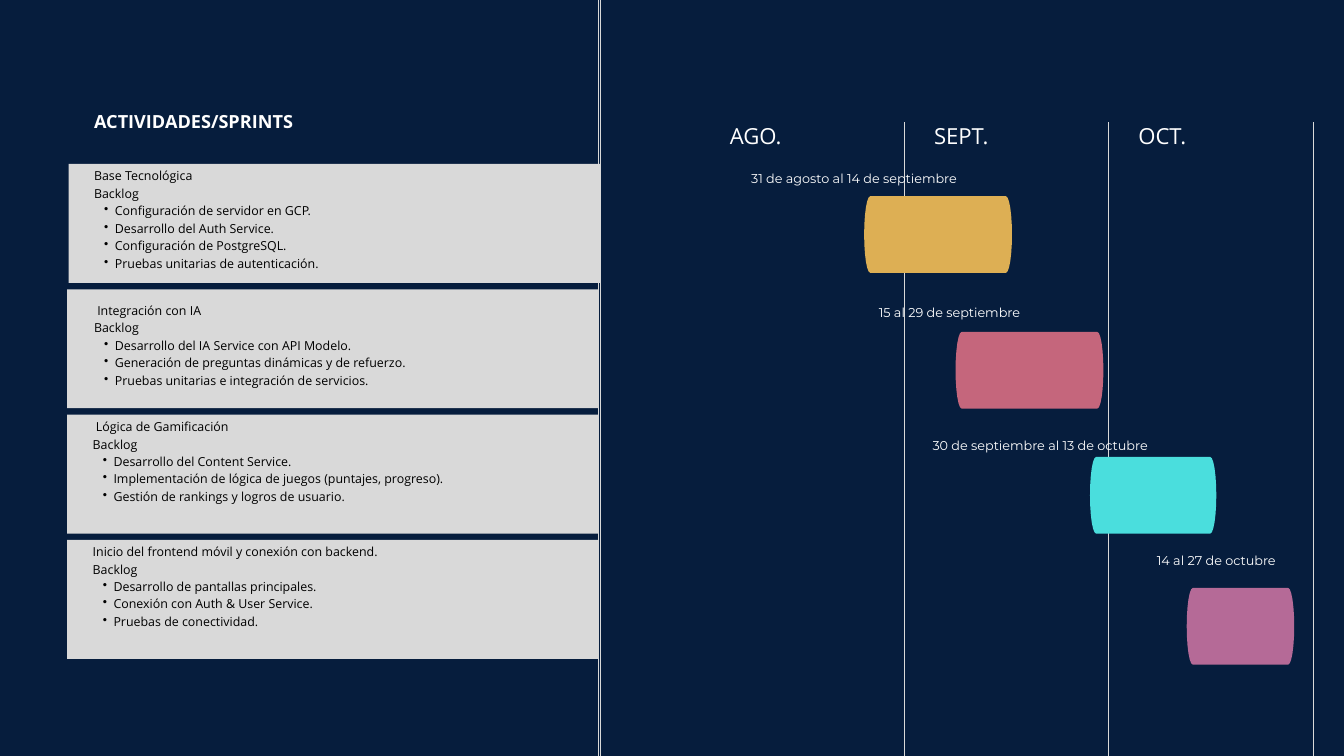
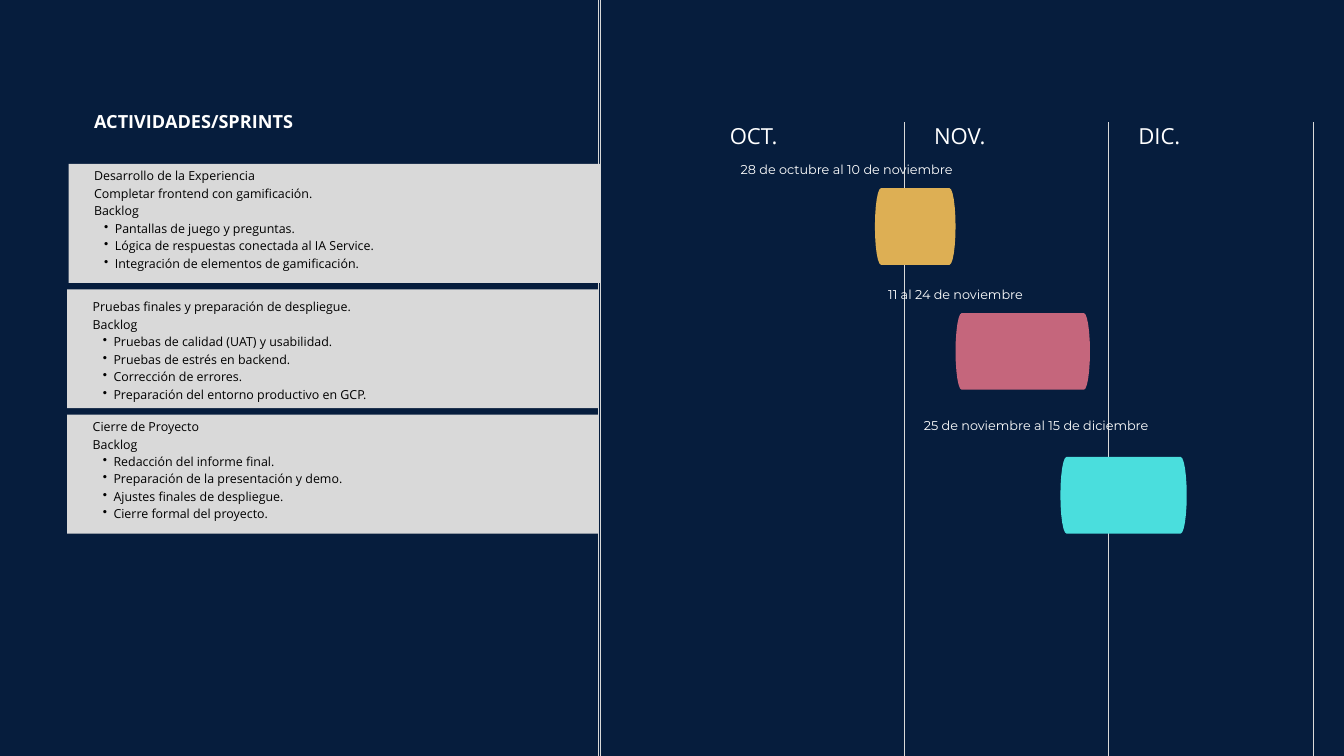
"""Builds the two slides of the sprint schedule, August to December."""
from math import cos, pi, sin

from lxml import etree
from pptx import Presentation
from pptx import util as u
from pptx.dml.color import RGBColor
from pptx.enum import shapes, text
from pptx.oxml.ns import qn

THEME = {
    "background": RGBColor.from_string("061D3D"),
    "panel": RGBColor.from_string("D9D9D9"),
    "bars": [RGBColor.from_string(c) for c in ("DDAF54", "C5667C", "4ADEDD", "B56A97")],
    "title": {"size": 19.4, "name": "Open Sans", "color": "FFFFFF", "bold": True, "leading": 22.7},
    "month": {"size": 23.7, "name": "Open Sans", "color": "FFFFFF", "bold": False, "leading": 33.1},
    "activity": {"size": 13.3, "name": "Open Sans", "color": "000000", "bold": False, "leading": 18.7},
    "dates": {"size": 13.7, "name": "Montserrat", "color": "FFFFFF", "bold": False, "leading": 13.7},
}
FRAME_FORMAT = {
    "margin_left": 0, "margin_top": 0, "margin_right": 0, "margin_bottom": 0,
    "word_wrap": True, "auto_size": text.MSO_AUTO_SIZE.NONE,
    "vertical_anchor": text.MSO_ANCHOR.TOP,
}
CARD_TOP, CARD_PITCH, CARD_HEIGHT = 2.44, 1.865, 1.77
MONTH_PITCH = 3.04
BAR_HEIGHT, BAR_CURVE = 1.14, 0.09
DATES_WIDTH = 3.6
LINE_HEIGHT = 0.26
CURVE_STEPS = 12

# Each sprint: text left and top, heading lines, bullets, dates, dates centre and top, bar left, top and width
SLIDES = [
    (["AGO.", "SEPT.", "OCT."], [
        (1.4, 2.47, ["Base Tecnológica", "Backlog"],
         ["Configuración de servidor en GCP.", "Desarrollo del Auth Service.",
          "Configuración de PostgreSQL.", "Pruebas unitarias de autenticación."],
         "31 de agosto al 14 de septiembre", 12.71, 2.58, 12.86, 2.92, 2.2),
        (1.4, 4.47, [" Integración con IA", "Backlog"],
         ["Desarrollo del IA Service con API Modelo.",
          "Generación de preguntas dinámicas y de refuerzo.",
          "Pruebas unitarias e integración de servicios."],
         "15 al 29 de septiembre", 14.13, 4.57, 14.22, 4.94, 2.2),
        (1.38, 6.2, [" Lógica de Gamificación", "Backlog"],
         ["Desarrollo del Content Service.",
          "Implementación de lógica de juegos (puntajes, progreso).",
          "Gestión de rankings y logros de usuario."],
         "30 de septiembre al 13 de octubre", 15.48, 6.55, 16.22, 6.8, 1.88),
        (1.38, 8.06, ["Inicio del frontend móvil y conexión con backend.", "Backlog"],
         ["Desarrollo de pantallas principales.", "Conexión con Auth & User Service.",
          "Pruebas de conectividad."],
         "14 al 27 de octubre", 18.1, 8.27, 17.66, 8.75, 1.6),
    ]),
    (["OCT.", "NOV.", "DIC."], [
        (1.4, 2.47, ["Desarrollo de la Experiencia", "Completar frontend con gamificación.", "Backlog"],
         ["Pantallas de juego y preguntas.", "Lógica de respuestas conectada al IA Service.",
          "Integración de elementos de gamificación."],
         "28 de octubre al 10 de noviembre", 12.6, 2.44, 13.02, 2.8, 1.2),
        (1.38, 4.42, ["Pruebas finales y preparación de despliegue.", "Backlog"],
         ["Pruebas de calidad (UAT) y usabilidad.", "Pruebas de estrés en backend.",
          "Corrección de errores.", "Preparación del entorno productivo en GCP."],
         "11 al 24 de noviembre", 14.22, 4.31, 14.22, 4.66, 2),
        (1.38, 6.2, ["Cierre de Proyecto", "Backlog"],
         ["Redacción del informe final.", "Preparación de la presentación y demo.",
          "Ajustes finales de despliegue.", "Cierre formal del proyecto."],
         "25 de noviembre al 15 de diciembre", 15.42, 6.26, 15.78, 6.8, 1.88),
    ]),
]


def write(holder, box, style, lines, bullets=(), align=text.PP_ALIGN.LEFT):
    """Place a text holder and fill it with plain lines followed by bullets."""
    holder.left, holder.top, holder.width, holder.height = map(u.Inches, box)
    frame = holder.text_frame
    for key, value in FRAME_FORMAT.items():
        setattr(frame, key, value)
    look = THEME[style]
    for index, wording in enumerate([*lines, *bullets]):
        paragraph = frame.add_paragraph() if index else frame.paragraphs[0]
        paragraph.alignment = align
        paragraph.line_spacing = u.Pt(look["leading"])
        run = paragraph.add_run()
        run.text = wording
        for key, value in {"size": u.Pt(look["size"]), "name": look["name"], "bold": look["bold"]}.items():
            setattr(run.font, key, value)
        run.font.color.rgb = RGBColor.from_string(look["color"])
        if index >= len(lines):
            paragraph.level = 1
            properties = paragraph._p.get_or_add_pPr()
            properties.set("marL", str(u.Inches(0.31)))
            properties.set("indent", str(u.Inches(-0.16)))
            etree.SubElement(properties, qn("a:buChar")).set("char", "•")


def paint(part, color):
    """Give a shape a flat fill with no line or shadow."""
    part.fill.solid()
    part.fill.fore_color.rgb = color
    part.line.fill.background()
    part.shadow.inherit = False


deck = Presentation()
deck.slide_width, deck.slide_height = u.Inches(20), u.Inches(11.25)
backdrop = deck.slide_master.background.fill
backdrop.solid()
backdrop.fore_color.rgb = THEME["background"]

for months, sprints in SLIDES:
    slide = deck.slides.add_slide(deck.slide_layouts[5])
    write(slide.shapes.title, (1.4, 1.65, 5.55, 0.31), "title", ["ACTIVIDADES/SPRINTS"])

    month_ends = [(13.46 + MONTH_PITCH * i, 1.81) for i in range(len(months))]
    for x, top in [(8.91, 0), (8.94, 0), *month_ends]:
        divider = slide.shapes.add_connector(
            shapes.MSO_CONNECTOR.STRAIGHT, u.Inches(x), u.Inches(11.25), u.Inches(x), u.Inches(top))
        divider.line.color.rgb = THEME["panel"]
        divider.line.width = u.Pt(0.75)
        etree.SubElement(divider._element.spPr, qn("a:effectLst"))

    for i, month in enumerate(months):
        month_label = slide.shapes.add_textbox(0, 0, 0, 0)
        write(month_label, (10.86 + MONTH_PITCH * i, 1.75, 2.32, 0.44), "month", [month])

    for i, sprint in enumerate(sprints):
        left, top, heading, backlog, dates, center, dates_top, bar_left, bar_top, bar_width = sprint
        card = slide.shapes.add_shape(
            shapes.MSO_SHAPE.RECTANGLE, u.Inches(1 if i else 1.02),
            u.Inches(CARD_TOP + CARD_PITCH * i), u.Inches(7.91), u.Inches(CARD_HEIGHT))
        paint(card, THEME["panel"])
        activity = slide.shapes.add_textbox(0, 0, 0, 0)
        height = LINE_HEIGHT * len(heading + backlog)
        write(activity, (left, top, 6.16, height), "activity", heading, backlog)

        period = slide.shapes.add_textbox(0, 0, 0, 0)
        write(period, (center - DATES_WIDTH / 2, dates_top, DATES_WIDTH, 0.19),
              "dates", [dates], align=text.PP_ALIGN.CENTER)

        outline = []
        for side, start in ((bar_left + bar_width - BAR_CURVE, -pi / 2), (bar_left + BAR_CURVE, pi / 2)):
            for step in range(CURVE_STEPS + 1):
                angle = start + pi * step / CURVE_STEPS
                outline.append((u.Inches(side + BAR_CURVE * cos(angle)),
                                u.Inches(bar_top + BAR_HEIGHT / 2 * (1 + sin(angle)))))
        builder = slide.shapes.build_freeform(*outline[0])
        builder.add_line_segments(outline[1:], close=True)
        paint(builder.convert_to_shape(), THEME["bars"][i])

deck.save("out.pptx")
